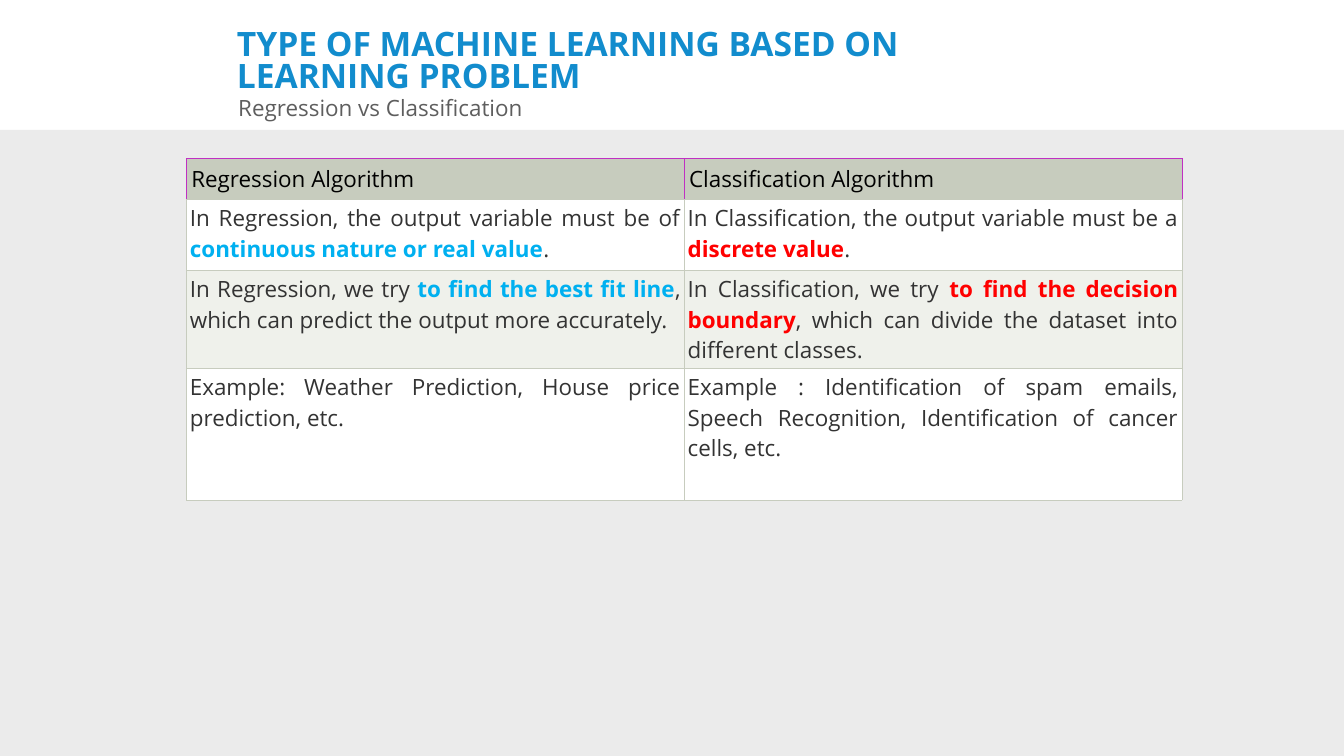
from dataclasses import dataclass

from lxml.etree import SubElement
from pptx import Presentation
from pptx.dml.color import RGBColor
from pptx.enum.shapes import MSO_SHAPE
from pptx.enum.text import MSO_ANCHOR, PP_ALIGN
from pptx.oxml.ns import qn
from pptx.util import Cm, Pt


@dataclass(frozen=True)
class Theme:
    font: str = "Open Sans"
    title_size: int = 48
    body_size: int = 32
    border_width: float = 0.6
    title: str = "128CCD"
    subtitle: str = "5E5E5E"
    backdrop: str = "EBEBEB"
    header_text: str = "000000"
    body_text: str = "333333"
    regression: str = "00B0F0"
    classification: str = "FF0000"
    grid: str = "C7CCBE"
    header_border: str = "C030C3"
    white: str = "FFFFFF"
    band: str = "EFF1EB"


THEME = Theme()

HEADINGS = ("Regression Algorithm", "Classification Algorithm")
COMPARISONS = (
    (
        ("In Regression, the output variable must be of ",
         "continuous nature or real value", "."),
        ("In Classification, the output variable must be a ",
         "discrete value", "."),
    ),
    (
        ("In Regression, we try ", "to find the best fit line",
         ", which can predict the output more accurately."),
        ("In Classification, we try ", "to find the decision boundary",
         ", which can divide the dataset into different classes."),
    ),
    (
        ("Example: Weather Prediction, House price prediction, etc.",),
        ("Example : Identification of spam emails, Speech Recognition, "
         "Identification of cancer cells, etc.",),
    ),
)


def write_text(frame, *parts, size=THEME.body_size, color=THEME.body_text,
               bold=False, key_color=None, align=PP_ALIGN.LEFT, spacing=None):
    paragraph = frame.paragraphs[0]
    paragraph.alignment = align
    if spacing:
        paragraph.line_spacing = spacing
    for position, part in enumerate(parts):
        is_key = position == 1
        run = paragraph.add_run()
        run.text = part
        run.font.name = THEME.font
        run.font.size = Pt(size)
        run.font.bold = bold or is_key
        run.font.color.rgb = RGBColor.from_string(key_color if is_key else color)


def add_backdrop(slide, left, top, width, height):
    backdrop = slide.shapes.add_shape(MSO_SHAPE.RECTANGLE, left, top, width, height)
    backdrop.shadow.inherit = False
    backdrop.fill.solid()
    backdrop.fill.fore_color.rgb = RGBColor.from_string(THEME.backdrop)
    backdrop.line.fill.background()


def add_label(slide, text, left, top, width, height,
              wrap=True, anchor=MSO_ANCHOR.TOP, **text_format):
    frame = slide.shapes.add_textbox(left, top, width, height).text_frame
    frame.word_wrap = wrap
    frame.vertical_anchor = anchor
    frame.margin_left = frame.margin_right = Cm(0.15)
    frame.margin_top = frame.margin_bottom = Cm(0.15)
    write_text(frame, text, **text_format)


def set_borders(cell, side_color, bottom_color):
    properties = cell._tc.get_or_add_tcPr()
    colors = (side_color, side_color, side_color, bottom_color)
    for position, (side, color) in enumerate(zip("LRTB", colors)):
        border = SubElement(properties, qn(f"a:ln{side}"),
                            w=str(Pt(THEME.border_width)))
        fill = SubElement(border, qn("a:solidFill"))
        SubElement(fill, qn("a:srgbClr"), val=color)
        properties.insert(position, border)


def fill_cell(cell, parts, fill, margin, border=THEME.grid, **text_format):
    cell.margin_left = cell.margin_right = margin
    cell.margin_top = cell.margin_bottom = margin
    cell.fill.solid()
    cell.fill.fore_color.rgb = RGBColor.from_string(fill)
    set_borders(cell, border, THEME.grid)
    write_text(cell.text_frame, *parts, **text_format)


def add_comparison_table(slide, left, top, width, row_heights):
    table = slide.shapes.add_table(len(row_heights), len(HEADINGS), left, top,
                                   width, sum(row_heights)).table
    table.horz_banding = False
    for row, height in zip(table.rows, row_heights):
        row.height = height

    for column, heading in enumerate(HEADINGS):
        fill_cell(table.cell(0, column), (heading,), THEME.grid, Cm(0.25),
                  border=THEME.header_border, color=THEME.header_text)

    key_colors = (THEME.regression, THEME.classification)
    for row, comparison in enumerate(COMPARISONS, start=1):
        fill = THEME.white if row % 2 else THEME.band
        for column, parts in enumerate(comparison):
            fill_cell(table.cell(row, column), parts, fill, Cm(0.18),
                      key_color=key_colors[column], align=PP_ALIGN.JUSTIFY)


def main():
    presentation = Presentation()
    presentation.slide_width = Cm(67.74)
    presentation.slide_height = Cm(38.1)
    slide = presentation.slides.add_slide(presentation.slide_layouts[6])

    backdrop_top = Cm(6.55)
    add_backdrop(slide, 0, backdrop_top, presentation.slide_width,
                 presentation.slide_height - backdrop_top)
    add_label(slide, "TYPE OF MACHINE LEARNING BASED ON LEARNING PROBLEM",
              Cm(11.79), Cm(1.4), Cm(40.87), Cm(1.42), size=THEME.title_size,
              color=THEME.title, bold=True, spacing=0.8)
    add_comparison_table(slide, Cm(9.39), Cm(7.98), Cm(50.18),
                         (Cm(2.07), Cm(3.56), Cm(4.95), Cm(6.65)))
    add_label(slide, "Regression vs Classification",
              Cm(11.79), Cm(4.6), Cm(14.78), Cm(1.65), wrap=False,
              anchor=MSO_ANCHOR.MIDDLE, color=THEME.subtitle, align=PP_ALIGN.CENTER)
    presentation.save("out.pptx")


if __name__ == "__main__":
    main()
